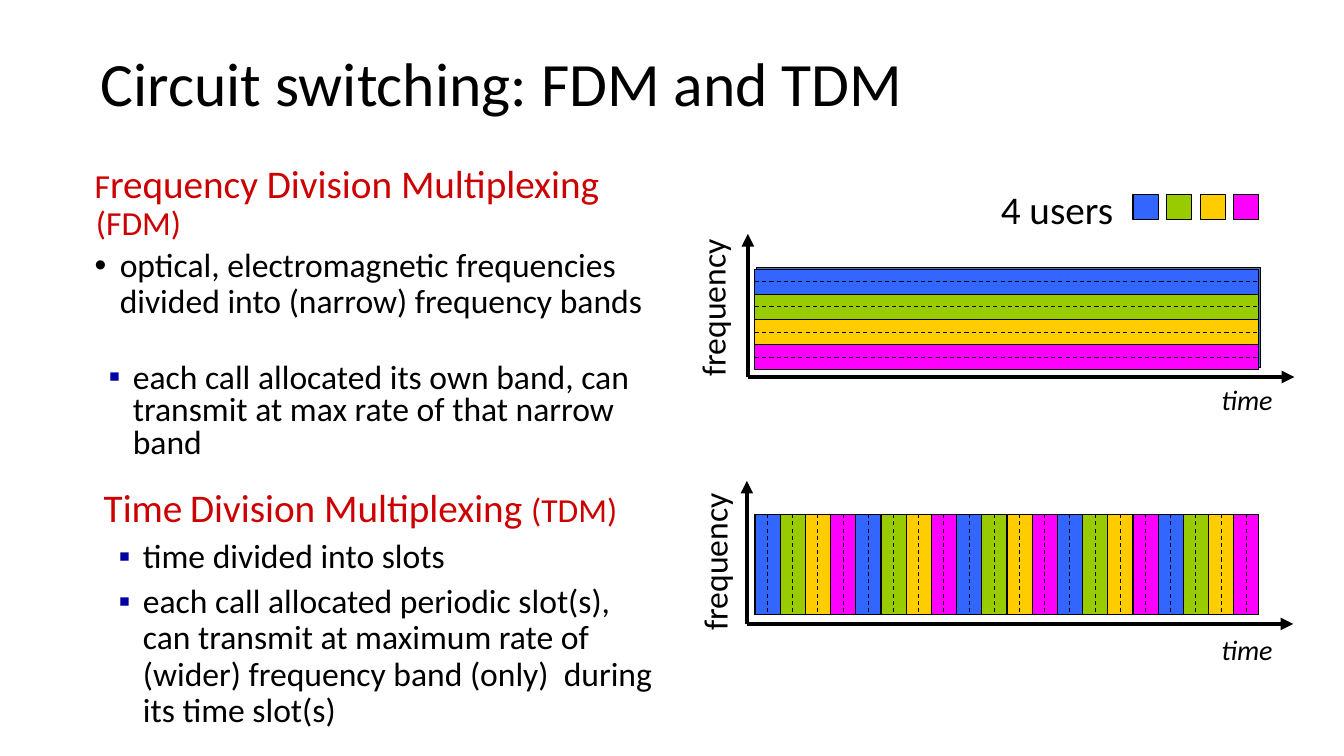
import lxml.etree
import pptx
import pptx.dml.color
import pptx.enum.dml
import pptx.enum.shapes
import pptx.enum.text
import pptx.oxml.ns
import pptx.util

Pt = pptx.util.Pt
qn = pptx.oxml.ns.qn
RGBColor = pptx.dml.color.RGBColor
BLACK = RGBColor(0x00, 0x00, 0x00)
RED = RGBColor(0xCC, 0x00, 0x00)
BASE_BLUE = RGBColor(0x44, 0x72, 0xC4)
NAVY = "0000A3"
USER_COLOURS = [
    RGBColor(0x33, 0x66, 0xFF),
    RGBColor(0x99, 0xCC, 0x00),
    RGBColor(0xFF, 0xCC, 0x00),
    RGBColor(0xFF, 0x00, 0xFF),
]

presentation = pptx.Presentation()
presentation.slide_width = Pt(960)
presentation.slide_height = Pt(540)
slide = presentation.slides.add_slide(presentation.slide_layouts[6])


def add_box(left, top, width, height, colour):
    shape = slide.shapes.add_shape(
        pptx.enum.shapes.MSO_SHAPE.RECTANGLE, Pt(left), Pt(top), Pt(width), Pt(height))
    shape.shadow.inherit = False
    shape.fill.solid()
    shape.fill.fore_color.rgb = colour
    shape.line.color.rgb = BLACK
    shape.line.width = Pt(0.75)


def add_line(x1, y1, x2, y2, dashed=False, arrow=False):
    connector = slide.shapes.add_connector(
        pptx.enum.shapes.MSO_CONNECTOR.STRAIGHT, Pt(x1), Pt(y1), Pt(x2), Pt(y2))
    connector.line.color.rgb = BLACK
    connector.line.width = Pt(3 if arrow else 0.75)
    if dashed:
        connector.line.dash_style = pptx.enum.dml.MSO_LINE.DASH
    properties = connector._element.spPr
    if arrow:
        lxml.etree.SubElement(properties.find(qn("a:ln")), qn("a:tailEnd"), type="triangle")
    lxml.etree.SubElement(properties, qn("a:effectLst"))


# Axes: origin x, origin y
for x, y in [(534.2, 269.3), (533.5, 445.7)]:
    add_line(x, y, x, y - 102.2, arrow=True)
    add_line(x, y, x + 390.3, y, arrow=True)

# Frequency bands
BARS_LEFT, BARS_WIDTH, BARS_HEIGHT, STEP = 539.3, 360, 72, 18
BANDS_TOP, SLOTS_TOP = 192.2, 367.2
bars_right = BARS_LEFT + BARS_WIDTH
add_box(BARS_LEFT + 1.4, BANDS_TOP - 1.4, BARS_WIDTH, BARS_HEIGHT, BASE_BLUE)
for band, colour in enumerate(USER_COLOURS):
    y = BANDS_TOP + band * STEP
    add_box(BARS_LEFT, y, BARS_WIDTH, STEP, colour)
    add_line(BARS_LEFT, y + STEP / 2, bars_right, y + STEP / 2, dashed=True)
    if band:
        add_line(BARS_LEFT, y, bars_right, y)

# Time slots
slots_bottom = SLOTS_TOP + BARS_HEIGHT
add_box(BARS_LEFT, SLOTS_TOP, BARS_WIDTH, BARS_HEIGHT, BASE_BLUE)
for slot in range(BARS_WIDTH // STEP):
    x = BARS_LEFT + slot * STEP
    add_box(x, SLOTS_TOP, STEP, BARS_HEIGHT, USER_COLOURS[slot % len(USER_COLOURS)])
    add_line(x + STEP / 2, SLOTS_TOP, x + STEP / 2, slots_bottom, dashed=True)
    if slot:
        add_line(x, SLOTS_TOP, x, slots_bottom)

# Legend
for user, colour in enumerate(USER_COLOURS):
    add_box(809.3 + user * 24, 139, STEP, STEP, colour)

# Single-line labels: text, left, top, width, height, size, rotation, italic
labels = [
    ("frequency", 452.2, 200.9, 113.8, 36.7, 24, 270, False),
    ("time", 865.4, 270, 52.6, 31.7, 20, 0, True),
    ("frequency", 453.6, 382.3, 113.8, 36.7, 24, 270, False),
    ("time", 865.4, 448.6, 52.6, 31.7, 20, 0, True),
    ("4 users", 707.8, 128.9, 95.8, 41, 28, 0, False),
]
for text, left, top, width, height, size, rotation, italic in labels:
    label = slide.shapes.add_textbox(Pt(left), Pt(top), Pt(width), Pt(height))
    label.rotation = rotation
    label.text_frame.word_wrap = False
    paragraph = label.text_frame.paragraphs[0]
    paragraph.text = text
    paragraph.font.name = "Calibri"
    paragraph.font.size = Pt(size)
    paragraph.font.italic = italic
    paragraph.font.color.rgb = BLACK

# Text blocks: left, top, width, height, line spacing, space before, paragraphs
# Each paragraph: bullet, left margin, indent, colour, runs of (text, size)
blocks = [
    (64.8, 26.6, 828, 70.6, 0.9, 0, [
        (None, 0, 0, BLACK, [("Circuit switching: FDM and TDM", 44)]),
    ]),
    (60.5, 113.8, 414.7, 156.2, 0.9, 4, [
        (None, 1, -1, RED,
         [("F", 24), ("requency Division Multiplexing ", 28), ("(FDM)", 24)]),
        ("•", 18, -18, BLACK,
         [("optical, electromagnetic frequencies divided into (narrow) frequency bands", 24)]),
    ]),
    (67, 345.6, 415.4, 80, 0.9, 6, [
        (None, 1, -1, RED,
         [("Time", 28), (" ", 24), ("Division Multiplexing ", 28), ("(TDM)", 24)]),
        ("▪", 28, -17.3, BLACK, [("time divided into slots", 24)]),
    ]),
    (59.8, 256.3, 414.7, 82, 0.8, 4, [
        ("▪", 28, -17.3, BLACK,
         [("each call allocated its own band, can transmit at max rate of that narrow band", 24)]),
    ]),
    (67, 414, 415.4, 125, 0.9, 6, [
        ("▪", 28, -17.3, BLACK,
         [("each call allocated periodic slot(s), can transmit at maximum rate of "
           "(wider) frequency band (only)  during its time slot(s)", 24)]),
    ]),
]
for left, top, width, height, line_spacing, space_before, paragraphs in blocks:
    block = slide.shapes.add_textbox(Pt(left), Pt(top), Pt(width), Pt(height))
    frame = block.text_frame
    frame.word_wrap = True
    if top < 100:
        frame.vertical_anchor = pptx.enum.text.MSO_ANCHOR.MIDDLE
    for index, (bullet, margin, indent, colour, runs) in enumerate(paragraphs):
        paragraph = frame.add_paragraph() if index else frame.paragraphs[0]
        paragraph.line_spacing = line_spacing
        if index:
            paragraph.space_before = Pt(space_before)
        properties = paragraph._p.get_or_add_pPr()
        properties.set("marL", str(Pt(margin)))
        properties.set("indent", str(Pt(indent)))
        if bullet == "▪":
            bullet_colour = lxml.etree.SubElement(properties, qn("a:buClr"))
            lxml.etree.SubElement(bullet_colour, qn("a:srgbClr"), val=NAVY)
        if bullet:
            lxml.etree.SubElement(properties, qn("a:buFont"), typeface="Arial")
            lxml.etree.SubElement(properties, qn("a:buChar"), char=bullet)
        paragraph.font.name = "Calibri"
        paragraph.font.color.rgb = colour
        for text, size in runs:
            run = paragraph.add_run()
            run.text = text
            run.font.size = Pt(size)

presentation.save("out.pptx")
